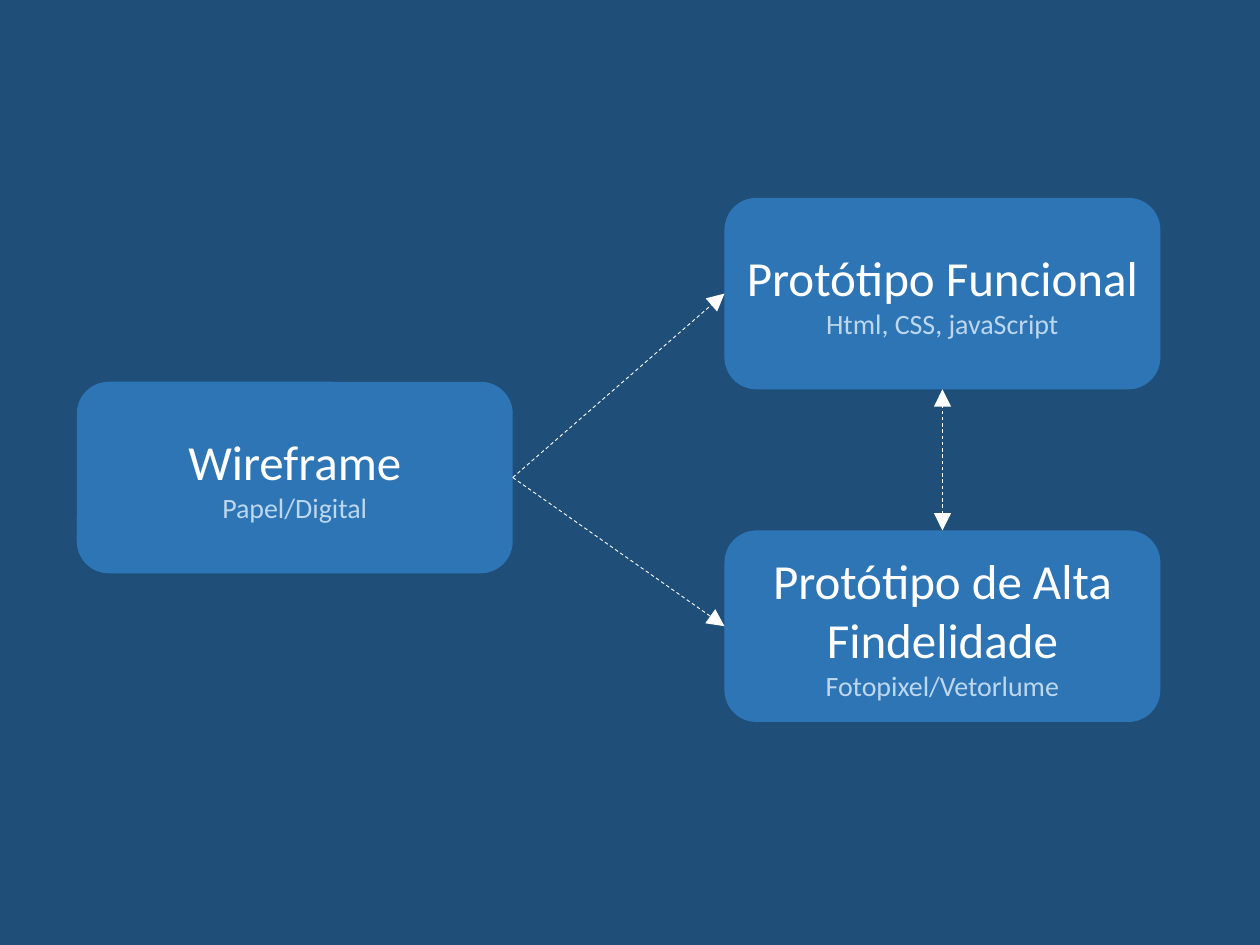
from lxml import etree
from pptx import Presentation
from pptx import util as u
from pptx.dml.color import RGBColor
from pptx.enum import dml, shapes, text
from pptx.oxml.ns import qn

COLORS = {"background": "1F4E79", "box": "2E75B6", "title": "FFFFFF",
          "detail": "BDD7EE", "line": "FFFFFF"}
FONT = "Calibri"
BOX_W, BOX_H = 3.46, 1.52
TOP, LEFT, BOTTOM, RIGHT = range(4)

STAGES = {
    "wireframe": ("Wireframe", "Papel/Digital", 0.61, 3.03),
    "functional": ("Protótipo Funcional", "Html, CSS, javaScript", 5.75, 1.57),
    "fidelity": ("Protótipo de Alta Findelidade", "Fotopixel/Vetorlume", 5.75, 4.21),
}
LINKS = [
    ("wireframe", RIGHT, "fidelity", LEFT, ["tailEnd"]),
    ("wireframe", RIGHT, "functional", LEFT, ["tailEnd"]),
    ("fidelity", TOP, "functional", BOTTOM, ["headEnd", "tailEnd"]),
]


def color(name):
    return RGBColor.from_string(COLORS[name])


def add_stage(s, title, detail, x, y):
    sp = s.shapes.add_shape(shapes.MSO_SHAPE.ROUNDED_RECTANGLE,
                            u.Inches(x), u.Inches(y), u.Inches(BOX_W), u.Inches(BOX_H))
    sp.shadow.inherit = False
    sp.fill.solid()
    sp.fill.fore_color.rgb = color("box")
    sp.line.fill.background()
    tf = sp.text_frame
    tf.word_wrap = True
    tf.vertical_anchor = text.MSO_ANCHOR.MIDDLE
    tf.text = f"{title}\n{detail}"
    for p, size, tone in zip(tf.paragraphs, (28, 16), ("title", "detail")):
        p.alignment = text.PP_ALIGN.CENTER
        for r in p.runs:
            r.font.name = FONT
            r.font.size = u.Pt(size)
            r.font.color.rgb = color(tone)
    return sp


def add_link(s, start, start_side, end, end_side, arrows):
    c = s.shapes.add_connector(shapes.MSO_CONNECTOR.STRAIGHT, 0, 0, 0, 0)
    c.begin_connect(start, start_side)
    c.end_connect(end, end_side)
    c.line.color.rgb = color("line")
    c.line.width = u.Pt(0.5)
    c.line.dash_style = dml.MSO_LINE.DASH
    ln = c.line._get_or_add_ln()
    for arrow in arrows:
        etree.SubElement(ln, qn(f"a:{arrow}"), type="triangle", w="lg", len="lg")
    etree.SubElement(c._element.spPr, qn("a:effectLst"))


def main():
    prs = Presentation()
    prs.slide_width, prs.slide_height = u.Inches(10), u.Inches(7.5)
    s = prs.slides.add_slide(prs.slide_layouts[6])
    s.background.fill.solid()
    s.background.fill.fore_color.rgb = color("background")
    boxes = {name: add_stage(s, *stage) for name, stage in STAGES.items()}
    for start, start_side, end, end_side, arrows in LINKS:
        add_link(s, boxes[start], start_side, boxes[end], end_side, arrows)
    prs.save("out.pptx")


if __name__ == "__main__":
    main()
